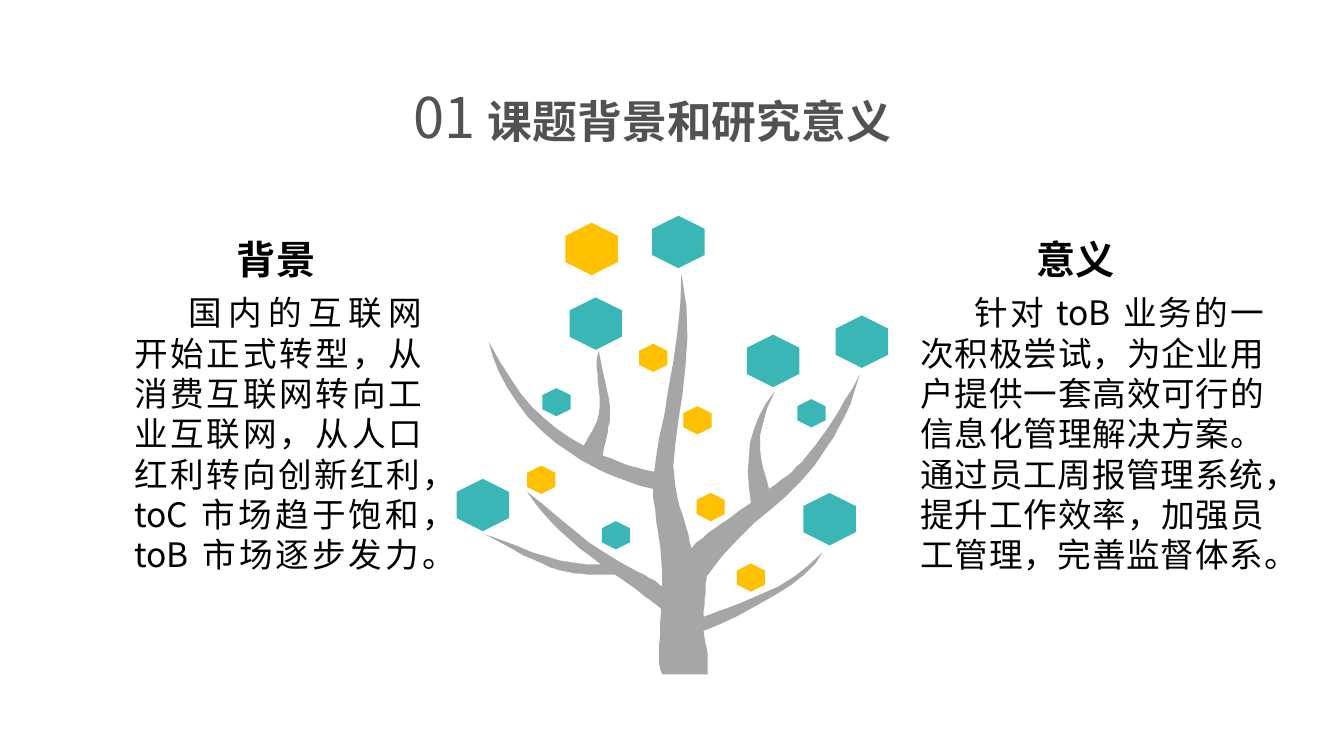
"""Build the slide on the topic's background and significance, with a tree of hexagon leaves."""
import pptx
import pptx.dml.color
import pptx.enum.text
import pptx.oxml.ns
import pptx.util
from lxml import etree

Pt = pptx.util.Pt
RGBColor = pptx.dml.color.RGBColor
PP_ALIGN = pptx.enum.text.PP_ALIGN
MSO_ANCHOR = pptx.enum.text.MSO_ANCHOR

FONT = "Noto Sans CJK SC"
TITLE_GREY = RGBColor(0x52, 0x52, 0x52)
BLACK = RGBColor(0, 0, 0)
BARK = RGBColor(0xA6, 0xA6, 0xA6)
TEAL = RGBColor(0x3B, 0xB6, 0xB7)
AMBER = RGBColor(0xFF, 0xC0, 0x00)

GRID = Pt(0.72)
CURVE_STEPS = 8
LARGE, SMALL = 25.6, 14.2

BACKGROUND = ("国内的互联网开始正式转型，从消费互联网转向工业互联网，从人口红利转向创新红利，"
              "toC 市场趋于饱和，toB 市场逐步发力。")
SIGNIFICANCE = ("针对 toB 业务的一次积极尝试，为企业用户提供一套高效可行的信息化管理解决方案。"
                "通过员工周报管理系统，提升工作效率，加强员工管理，完善监督体系。")

TRUNK_START = (702, 669)
TRUNK_CURVES = [
    (657, 669, 657, 669, 657, 669), (652, 657, 654, 643, 656, 604),
    (643, 593, 627, 582, 610, 570), (592, 571, 581, 570, 566, 568),
    (536, 562, 525, 553, 481, 530), (529, 548, 556, 561, 596, 560),
    (568, 539, 541, 516, 523, 488), (565, 520, 575, 537, 634, 568),
    (641, 571, 648, 575, 657, 582), (658, 547, 648, 508, 648, 485),
    (613, 477, 589, 464, 570, 452), (519, 421, 495, 378, 485, 339),
    (515, 396, 539, 420, 579, 442), (583, 435, 597, 419, 595, 395),
    (593, 369, 590, 360, 594, 348), (599, 375, 607, 401, 605, 414),
    (604, 426, 602, 430, 598, 452), (622, 462, 636, 465, 649, 468),
    (652, 435, 675, 349, 676, 271), (696, 361, 660, 432, 670, 482),
    (676, 513, 682, 524, 686, 544), (701, 528, 711, 524, 745, 499),
    (739, 457, 741, 419, 769, 388), (744, 438, 756, 454, 763, 485),
    (781, 473, 792, 463, 803, 449), (815, 434, 833, 409, 853, 371),
    (847, 397, 834, 422, 822, 441), (785, 502, 744, 510, 701, 572),
    (700, 580, 699, 595, 698, 612), (730, 599, 782, 586, 816, 548),
    (802, 576, 740, 609, 698, 626), (700, 645, 704, 652, 702, 669),
]

LEAVES = [
    (TEAL, LARGE, [(673, 240), (855, 339), (823, 515), (591, 321), (479, 501), (767, 358)]),
    (AMBER, LARGE, [(587, 247)]),
    (TEAL, SMALL, [(552, 399), (805, 410), (611, 531)]),
    (AMBER, SMALL, [(745, 573), (648, 355), (705, 503), (537, 476), (692, 417)]),
]


def fill_placeholder(placeholder, box, runs, anchor=MSO_ANCHOR.TOP, align=PP_ALIGN.LEFT,
                     spacing=1.0, indent=0, wrap=True):
    """Place a placeholder and write one paragraph from (text, size, bold, colour) runs."""
    left, top, width, height = (Pt(length) for length in box)
    placeholder.left, placeholder.top = left, top
    placeholder.width, placeholder.height = width, height
    frame = placeholder.text_frame
    frame.auto_size = pptx.enum.text.MSO_AUTO_SIZE.NONE
    frame.word_wrap = wrap
    frame.vertical_anchor = anchor
    paragraph = frame.paragraphs[0]
    paragraph.alignment = align
    paragraph.line_spacing = spacing
    paragraph.space_before = paragraph.space_after = Pt(0)
    properties = paragraph._p.get_or_add_pPr()
    properties.set("marL", "0")
    properties.set("indent", str(Pt(indent)))
    etree.SubElement(properties, pptx.oxml.ns.qn("a:buNone"))
    for text, size, bold, colour in runs:
        run = paragraph.add_run()
        run.text = text
        run.font.size = Pt(size)
        run.font.bold = bold
        run.font.color.rgb = colour
        run.font.name = FONT
        east_asian = etree.SubElement(run._r.get_or_add_rPr(), pptx.oxml.ns.qn("a:ea"))
        east_asian.set("typeface", FONT)


def add_heading(placeholder, text, left, width):
    """Write the bold heading above a column."""
    fill_placeholder(placeholder, (left, 164.5, width, 41), [(text, 28, True, BLACK)],
                     anchor=MSO_ANCHOR.MIDDLE, wrap=False)


def add_passage(placeholder, text, left, width):
    """Write the justified passage of a column."""
    fill_placeholder(placeholder, (left, 205.2, width, 211), [(text, 24, False, BLACK)],
                     align=PP_ALIGN.JUSTIFY, spacing=Pt(28.8), indent=39)


def add_outline(tree, points, colour):
    """Draw a closed, filled outline on the tree's grid."""
    builder = tree.shapes.build_freeform(*points[0], scale=GRID)
    builder.add_line_segments(points[1:], close=True)
    outline = builder.convert_to_shape()
    outline.shadow.inherit = False
    outline.fill.solid()
    outline.fill.fore_color.rgb = colour
    outline.line.fill.background()


def trunk_points():
    """Return points along the curves of the trunk and its branches."""
    points = [TRUNK_START]
    for x1, y1, x2, y2, x3, y3 in TRUNK_CURVES:
        x0, y0 = points[-1]
        for step in range(1, CURVE_STEPS + 1):
            t = step / CURVE_STEPS
            u = 1 - t
            weights = (u ** 3, 3 * u * u * t, 3 * u * t * t, t ** 3)
            points.append((sum(w * x for w, x in zip(weights, (x0, x1, x2, x3))),
                           sum(w * y for w, y in zip(weights, (y0, y1, y2, y3)))))
    return points


def leaf_points(centre, radius):
    """Return the corners of an upright hexagon leaf."""
    x, y = centre
    half = radius / 2
    return [(x, y - radius), (x + radius, y - half), (x + radius, y + half),
            (x, y + radius), (x - radius, y + half), (x - radius, y - half)]


def add_tree(slide):
    """Draw the trunk and its leaves as one group."""
    tree = slide.shapes.add_group_shape()
    add_outline(tree, trunk_points(), BARK)
    for colour, radius, centres in LEAVES:
        for centre in centres:
            add_outline(tree, leaf_points(centre, radius), colour)


def main():
    """Build and save the slide."""
    presentation = pptx.Presentation()
    presentation.slide_width, presentation.slide_height = Pt(960), Pt(540)
    slide = presentation.slides.add_slide(presentation.slide_layouts[4])
    title, left_heading, left_passage, right_heading, right_passage = slide.placeholders
    fill_placeholder(title, (288, 55.4, 384.5, 55.4),
                     [("01 ", 40, False, TITLE_GREY), ("课题背景和研究意义", 32, True, TITLE_GREY)],
                     anchor=MSO_ANCHOR.MIDDLE, wrap=False)
    add_heading(left_heading, "背景", 162, 113.8)
    add_passage(left_passage, BACKGROUND, 88.6, 220.3)
    add_heading(right_heading, "意义", 733, 77)
    add_passage(right_passage, SIGNIFICANCE, 650.2, 260)
    add_tree(slide)
    presentation.save("out.pptx")


main()
